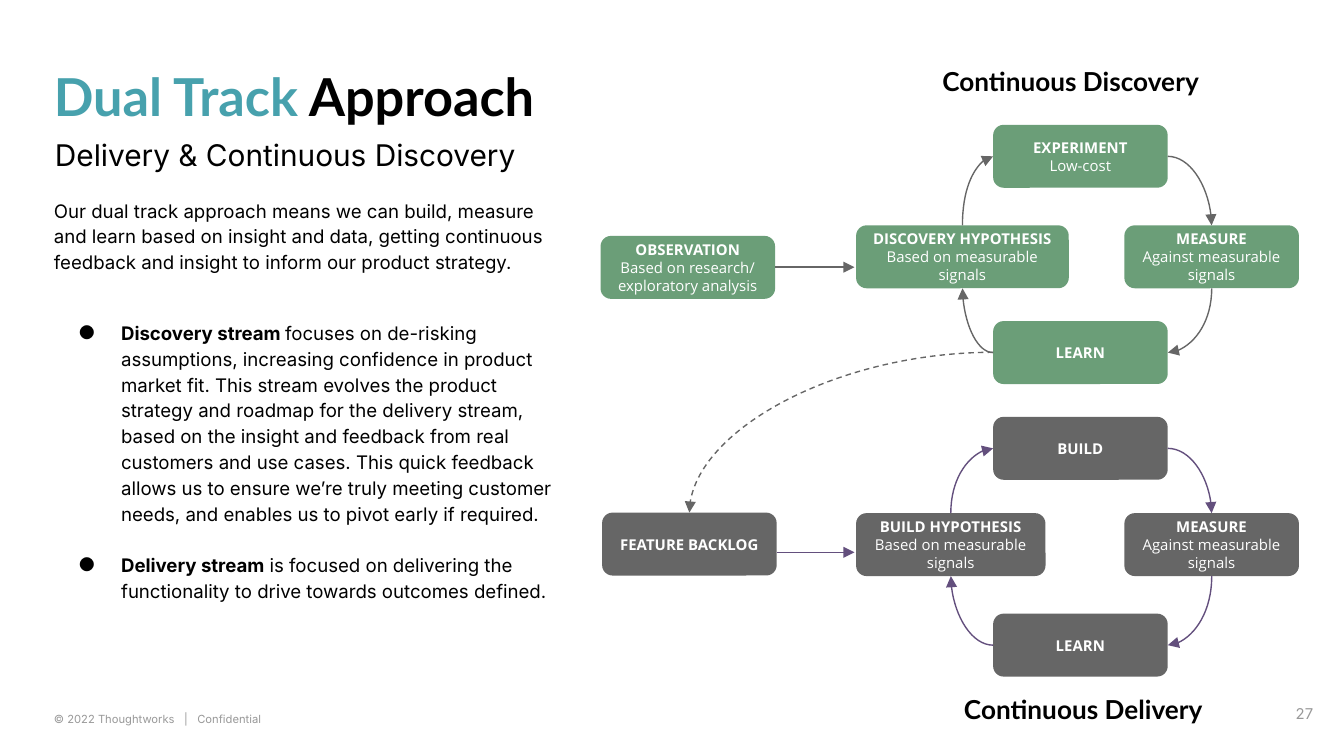
from dataclasses import dataclass
from pptx import Presentation
from pptx.dml.color import RGBColor as Rgb
from pptx.enum.dml import MSO_LINE as Dash
from pptx.enum.shapes import MSO_CONNECTOR as Link, MSO_SHAPE as Form
from pptx.enum.text import MSO_ANCHOR as Anchor, PP_ALIGN as Align
from pptx.oxml.ns import qn
from pptx.util import Cm, Pt
from lxml.etree import SubElement as Sub


@dataclass(frozen=True)
class Theme:
    black: str = "000000"
    white: str = "FFFFFF"
    teal: str = "47A1AD"
    green: str = "6B9E78"
    grey: str = "666666"
    pale: str = "999999"
    purple: str = "634F7D"
    head: str = "Lato"
    body: str = "Inter"
    label: str = "Open Sans"
    title: float = 28
    sub: float = 16
    track: float = 14
    text: float = 10
    small: float = 8
    foot: float = 6


class Deck:
    """Draws each kind of element on the current slide in one theme."""

    wide, high = 3.3, 1.19

    def __init__(self, theme):
        self.theme = theme
        self.prs = Presentation()
        self.prs.slide_width, self.prs.slide_height = Cm(25.4), Cm(14.29)
        self.slide = self.prs.slides.add_slide(self.prs.slide_layouts[6])

    def run(self, para, text, size, face, tint, bold=False):
        run = para.add_run()
        run.text = text
        font = run.font
        font.size, font.name, font.bold = Pt(size), face, bold
        font.color.rgb = Rgb.from_string(tint)

    def frame(self, shape, inset, anchor):
        frame = shape.text_frame
        frame.word_wrap, frame.vertical_anchor = True, anchor
        frame.margin_left = frame.margin_right = Cm(inset[0])
        frame.margin_top = frame.margin_bottom = Cm(inset[1])
        return frame

    def text(self, area, size, face, runs, inset=(0, 0), anchor=Anchor.TOP,
             align=Align.LEFT):
        shape = self.slide.shapes.add_textbox(*map(Cm, area))
        frame = self.frame(shape, inset, anchor)
        para = frame.paragraphs[0]
        para.alignment = align
        for words, tint, bold in runs:
            self.run(para, words, size, face, tint, bold)
        return frame

    def tabs(self, para, stops):
        tabs = Sub(para._p.get_or_add_pPr(), qn("a:tabLst"))
        for stop in stops:
            Sub(tabs, qn("a:tab"), pos=str(int(Cm(stop))), algn="l")

    def bullet(self, frame, lead, rest, gap):
        theme = self.theme
        para = frame.add_paragraph()
        props = para._p.get_or_add_pPr()
        props.set("marL", str(int(Cm(1.27))))
        props.set("indent", str(int(Cm(-0.81))))
        tint = Sub(props, qn("a:buClr"))
        Sub(tint, qn("a:srgbClr"), val=theme.black)
        Sub(props, qn("a:buFont"), typeface=theme.body)
        Sub(props, qn("a:buChar"), char="●")
        para.line_spacing, para.space_before = 1.15, Pt(gap)
        self.run(para, lead, theme.text, theme.body, theme.black, True)
        self.run(para, rest, theme.text, theme.body, theme.black)

    def box(self, left, top, fill, name, *lines, wide=wide):
        theme = self.theme
        shape = self.slide.shapes.add_shape(
            Form.ROUNDED_RECTANGLE, Cm(left), Cm(top), Cm(wide), Cm(self.high))
        shape.shadow.inherit = False
        shape.fill.solid()
        shape.fill.fore_color.rgb = Rgb.from_string(fill)
        shape.line.fill.background()
        frame = self.frame(shape, (0.25, 0.25), Anchor.MIDDLE)
        para = frame.paragraphs[0]
        para.alignment = Align.CENTER
        self.run(para, name, theme.small, theme.label, theme.white, True)
        for spot, line in enumerate(lines):
            if spot:
                para.add_line_break()
            else:
                para = frame.add_paragraph()
                para.alignment = Align.CENTER
            self.run(para, line, theme.small, theme.label, theme.white)

    def arrow(self, start, end, tint, kind=Link.STRAIGHT):
        line = self.slide.shapes.add_connector(kind, *map(Cm, (*start, *end)))
        line.line.width = Pt(0.75)
        line.line.color.rgb = Rgb.from_string(tint)
        Sub(line.line._get_or_add_ln(), qn("a:tailEnd"), type="triangle")
        Sub(line._element.spPr, qn("a:effectLst"))
        return line

    def curve(self, start, end, tint, turn=0):
        (ax, ay), (bx, by) = start, end
        if turn:
            midx, midy = (ax + bx) / 2, (ay + by) / 2
            halfx, halfy = abs(bx - ax) / 2, abs(by - ay) / 2
            if turn % 180:
                halfx, halfy = halfy, halfx
            start, end = (midx - halfx, midy - halfy), (midx + halfx, midy + halfy)
        line = self.arrow(start, end, tint, Link.CURVE)
        props = line._element.spPr
        props.find(qn("a:prstGeom")).set("prst", "curvedConnector2")
        if turn:
            props.find(qn("a:xfrm")).set("rot", str(turn * 60000))
        return line

    def loop(self, tops, fill, tint, first, guess, wide):
        """Draws four boxes joined clockwise by curves."""
        high, mid, low = tops
        left, right, edge = 18.77, 21.25, 16.18
        note = "measurable signals"
        self.box(left, high, fill, *first)
        self.box(left, low, fill, "LEARN")
        self.box(right, mid, fill, "MEASURE", "Against " + note)
        self.box(edge, mid, fill, guess, "Based on " + note, wide=wide)
        half, far = self.high / 2, left + self.wide
        east, west = right + self.wide / 2, edge + wide / 2
        base = mid + self.high
        self.curve((far, high + half), (east, mid), tint)
        self.curve((east, base), (far, low + half), tint, 90)
        self.curve((left, low + half), (west, base), tint, 180)
        self.curve((west, mid), (left, high + half), tint, 270)


def main():
    theme = Theme()
    deck = Deck(theme)
    black, pale = theme.black, theme.pale

    foot = deck.text((1.02, 13.23, 10.95, 0.48), theme.foot, theme.body,
                     [("© 2022 Thoughtworks\t|\tConfidential", pale, False)],
                     anchor=Anchor.BOTTOM)
    deck.tabs(foot.paragraphs[0], (2.46, 2.71))
    deck.text((23.55, 12.95, 1.52, 1.09), theme.small, theme.body,
              [("27", pale, False)], (0.25, 0.25), Anchor.MIDDLE, Align.RIGHT)
    deck.text((1.02, 1.22, 9.86, 1.6), theme.title, theme.head,
              [("Dual Track", theme.teal, True), (" Approach", black, True)])
    sub = deck.text((1.04, 2.49, 10.31, 1.19), theme.sub, theme.body,
                    [("Delivery & Continuous Discovery", black, False)])
    sub.paragraphs[0].line_spacing = 1.15

    body = deck.text((1.02, 3.71, 9.53, 9.6), theme.text, theme.body, [(
        "Our dual track approach means we can build, measure and learn based on "
        "insight and data, getting continuous feedback and insight to inform our "
        "product strategy.", black, False)])
    body.paragraphs[0].line_spacing = 1.15
    deck.bullet(
        body, "Discovery stream ",
        "focuses on de-risking assumptions, increasing confidence in product "
        "market fit. This stream evolves the product strategy and roadmap for the "
        "delivery stream, based on the insight and feedback from real customers "
        "and use cases. This quick feedback allows us to ensure we’re truly "
        "meeting customer needs, and enables us to pivot early if required.", 24.2)
    deck.bullet(body, "Delivery stream",
                " is focused on delivering the functionality to drive towards "
                "outcomes defined.", 13.8)

    for name, top, wide in (("Discovery", 1.24, 5.77), ("Delivery", 13.11, 6.25)):
        deck.text((17.35, top, wide, 1.07), theme.track, theme.head,
                  [("Continuous " + name, black, True)], (0.25, 0),
                  align=Align.CENTER)

    deck.loop((2.36, 4.26, 6.07), theme.green, theme.grey,
              ("EXPERIMENT", "Low-cost"), "DISCOVERY HYPOTHESIS", 4.02)
    deck.loop((7.88, 9.7, 11.6), theme.grey, theme.purple,
              ("BUILD",), "BUILD HYPOTHESIS", 3.58)
    deck.box(11.35, 4.46, theme.green, "OBSERVATION",
             "Based on research/", "exploratory analysis")
    deck.box(11.38, 9.69, theme.grey, "FEATURE BACKLOG")
    deck.arrow((14.65, 5.05), (16.15, 5.05), theme.grey)
    deck.arrow((14.68, 10.44), (16.15, 10.44), theme.purple)
    feed = deck.curve((18.77, 6.66), (13.03, 9.69), theme.grey)
    feed.line.dash_style = Dash.DASH

    deck.prs.save("out.pptx")


if __name__ == "__main__":
    main()
